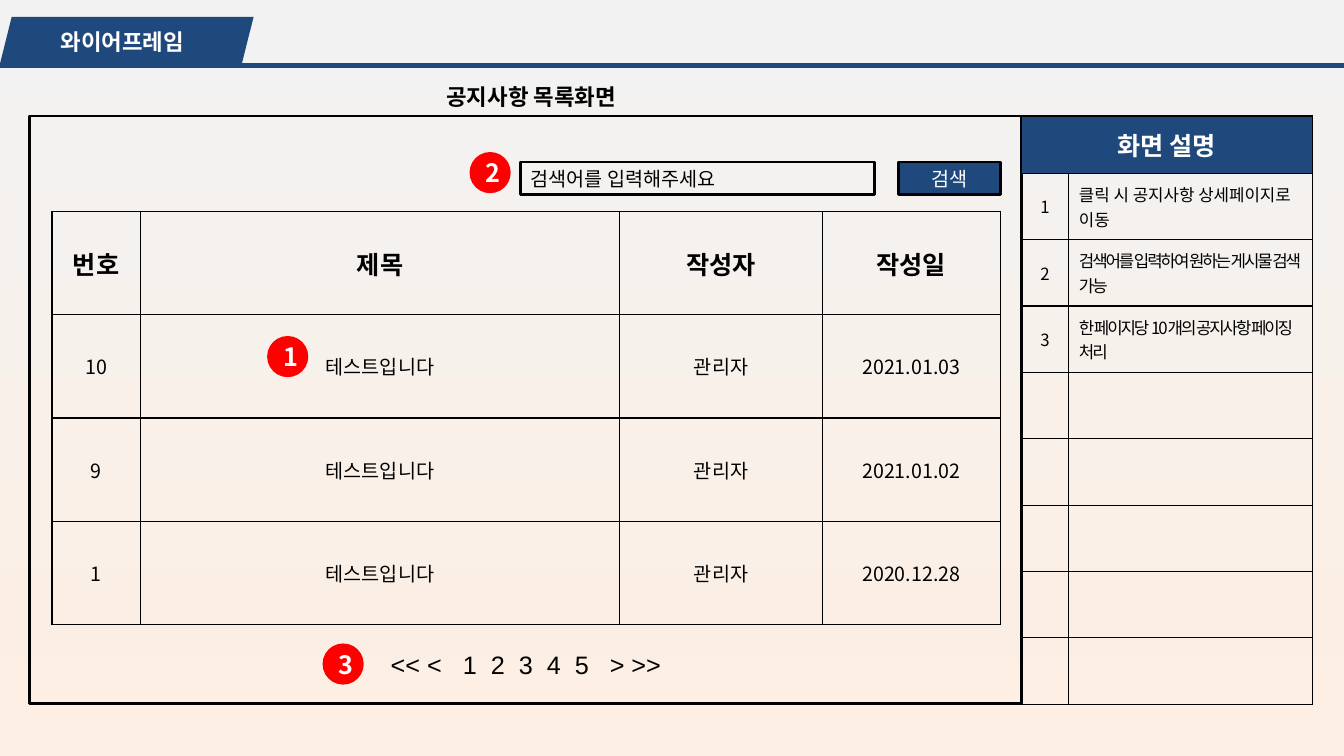
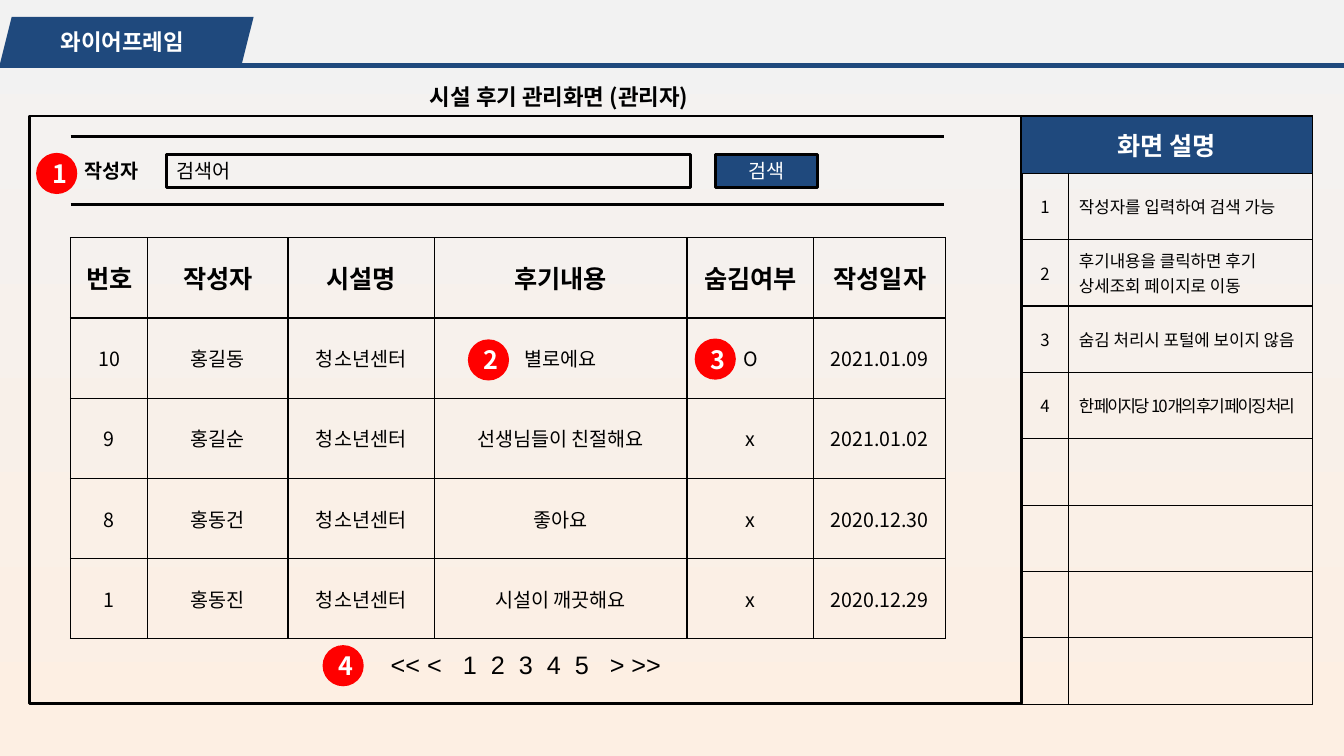
from dataclasses import dataclass
from itertools import accumulate

from lxml import etree
from pptx import Presentation
from pptx.dml.color import RGBColor
from pptx.enum.shapes import MSO_CONNECTOR, MSO_SHAPE
from pptx.enum.text import MSO_ANCHOR, PP_ALIGN
from pptx.oxml.ns import qn
from pptx.util import Emu, Pt

RECTANGLE = MSO_SHAPE.RECTANGLE
OVAL = MSO_SHAPE.OVAL
PARALLELOGRAM = MSO_SHAPE.PARALLELOGRAM
STRAIGHT = MSO_CONNECTOR.STRAIGHT
MIDDLE = MSO_ANCHOR.MIDDLE
LEFT = PP_ALIGN.LEFT
CENTER = PP_ALIGN.CENTER

COLORS = {
    "navy": "1F497D",
    "red": "FF0000",
    "black": "000000",
    "white": "FFFFFF",
    "sky": "F2F2F2",
    "sand": "FDEFE3",
}
KOREAN_FONT = "Noto Sans CJK KR"
LATIN_FONT = "Arial"

COLUMNS, ROWS = 160, 90
CELL = 76200
BADGE_SIZE = 4.9
FIELD_HEIGHT = 3.9
BUTTON_WIDTH = 12.1
NOTE_ROWS = 8
PAGER_BOX = (40.6, 76.6, 44, 4.9)
PAGER_INSET = 5.9
PAGER_TABS = list(accumulate([8.6] + [3.33] * 4 + [4.17]))


@dataclass(frozen=True)
class Badge:
    number: int
    left: float
    top: float


@dataclass(frozen=True)
class Note:
    text: str
    spacing: float = 0


@dataclass(frozen=True)
class Grid:
    left: float
    top: float
    columns: list[float]
    row_height: float
    rows: list[list[str]]


@dataclass(frozen=True)
class Search:
    left: float
    top: float
    width: float
    button_left: float
    prompt: str


@dataclass(frozen=True)
class Screen:
    title: str
    title_width: float
    search: Search
    grid: Grid
    notes: list[Note]
    badges: list[Badge]
    search_label: str = ""
    rules: tuple[float, ...] = ()


def units(value: float) -> Emu:
    return Emu(round(value * CELL))


def color(name: str) -> RGBColor:
    return RGBColor.from_string(COLORS[name])


def write_text(frame, text: str, *, size: float = 14, ink: str = "black",
               bold: bool = False, align=CENTER, font: str = KOREAN_FONT,
               spacing: float = 0, tabs=()) -> None:
    para = frame.paragraphs[0]
    para.alignment = align
    if tabs:
        tab_list = etree.SubElement(para._p.get_or_add_pPr(), qn("a:tabLst"))
        for position in tabs:
            etree.SubElement(tab_list, qn("a:tab"), pos=str(units(position)), algn="l")
    span = para.add_run()
    span.text = text
    span.font.size = Pt(size)
    span.font.bold = bold
    span.font.name = font
    span.font.color.rgb = color(ink)
    properties = span._r.get_or_add_rPr()
    etree.SubElement(properties, qn("a:ea"), typeface=font)
    if spacing:
        properties.set("spc", str(round(spacing * 100)))


def add_text(page, place: tuple, text: str, *, inset: float = 1.2, **style) -> None:
    box = page.shapes.add_textbox(*map(units, place))
    frame = box.text_frame
    frame.word_wrap = True
    frame.vertical_anchor = MIDDLE
    frame.margin_left = units(inset)
    write_text(frame, text, **style)


def add_box(page, preset, place: tuple, *, fill: str = "", line: str = "",
            text: str = "", **style) -> None:
    box = page.shapes.add_shape(preset, *map(units, place))
    box.shadow.inherit = False
    if fill:
        box.fill.solid()
        box.fill.fore_color.rgb = color(fill)
    else:
        box.fill.background()
    if line:
        box.line.color.rgb = color(line)
        box.line.width = Pt(2)
    else:
        box.line.fill.background()
    if text:
        box.text_frame.word_wrap = True
        box.text_frame.vertical_anchor = MIDDLE
        write_text(box.text_frame, text, **style)


def add_rule(page, left: float, right: float, top: float, ink: str, width: float) -> None:
    rule = page.shapes.add_connector(
        STRAIGHT, units(left), units(top), units(right), units(top))
    rule.line.color.rgb = color(ink)
    rule.line.width = Pt(width)
    etree.SubElement(rule._element.spPr, qn("a:effectLst"))


def style_cell(cell, fill: str = "") -> None:
    properties = cell._tc.get_or_add_tcPr()
    for side in ("lnL", "lnR", "lnT", "lnB"):
        border = etree.SubElement(properties, qn(f"a:{side}"), w=str(Pt(1)))
        paint = etree.SubElement(border, qn("a:solidFill"))
        etree.SubElement(paint, qn("a:srgbClr"), val=COLORS["black"])
    cell.vertical_anchor = MIDDLE
    if fill:
        cell.fill.solid()
        cell.fill.fore_color.rgb = color(fill)
    else:
        cell.fill.background()


def add_table(page, left: float, top: float, columns: list[float], rows: list[float]):
    table = page.shapes.add_table(
        len(rows), len(columns), units(left), units(top),
        units(sum(columns)), units(sum(rows))).table
    table.first_row = False
    table.horz_banding = False
    for column, width in zip(table.columns, columns):
        column.width = units(width)
    for row, height in zip(table.rows, rows):
        row.height = units(height)
    return table


def add_grid(page, grid: Grid) -> None:
    table = add_table(page, grid.left, grid.top, grid.columns,
                      [grid.row_height] * len(grid.rows))
    for row, texts in enumerate(grid.rows):
        header = row == 0
        for column, text in enumerate(texts):
            cell = table.cell(row, column)
            style_cell(cell)
            write_text(cell.text_frame, text, size=18 if header else 14, bold=header)


def add_notes(page, notes: list[Note]) -> None:
    table = add_table(page, 121.6, 13.8, [5.65, 29], [6.84] + [7.9] * NOTE_ROWS)
    for row in range(NOTE_ROWS + 1):
        for column in range(2):
            style_cell(table.cell(row, column), "" if row else "navy")
    heading = table.cell(0, 0)
    heading.merge(table.cell(0, 1))
    write_text(heading.text_frame, "화면 설명", size=18, ink="white", bold=True)
    for row, note in enumerate(notes, 1):
        write_text(table.cell(row, 0).text_frame, str(row), size=12)
        write_text(table.cell(row, 1).text_frame, note.text, size=12,
                   align=LEFT, spacing=note.spacing)


def add_search(page, search: Search) -> None:
    add_box(page, RECTANGLE, (search.left, search.top, search.width, FIELD_HEIGHT),
            line="black", text=search.prompt, align=LEFT)
    add_box(page, RECTANGLE, (search.button_left, search.top, BUTTON_WIDTH, FIELD_HEIGHT),
            fill="navy", line="black", text="검색", ink="white")


def add_frame(page, screen: Screen) -> None:
    backdrop = page.background.fill
    backdrop.gradient()
    backdrop.gradient_angle = 270
    for stop, name in zip(backdrop.gradient_stops, ("sky", "sand")):
        stop.color.rgb = color(name)
    add_box(page, PARALLELOGRAM, (0, 2, 30.2, 5.6), fill="navy")
    add_text(page, (-0.2, 1.6, 29.5, 6.6), "와이어프레임", size=16, ink="white", bold=True)
    add_rule(page, 0, COLUMNS, 7.8, "navy", 3)
    add_text(page, (48.5, 8.2, screen.title_width, 6.6), screen.title, size=16, bold=True)
    add_box(page, RECTANGLE, (3.5, 13.8, 118.1, 70), line="black")


def add_screen(deck, screen: Screen) -> None:
    page = deck.slides.add_slide(deck.slide_layouts[6])
    add_frame(page, screen)
    add_notes(page, screen.notes)
    add_grid(page, screen.grid)
    add_search(page, screen.search)
    if screen.search_label:
        add_text(page, (8.9, 17.9, 18.8, 4.9), screen.search_label,
                 bold=True, align=LEFT, font=LATIN_FONT)
    for top in screen.rules:
        add_rule(page, 8.4, 112.4, top, "black", 2.25)
    add_text(page, PAGER_BOX, "\t".join(["<< <", *"12345", "> >>"]), inset=PAGER_INSET,
             size=18, align=LEFT, font=LATIN_FONT, tabs=PAGER_TABS)
    for badge in screen.badges:
        add_box(page, OVAL, (badge.left, badge.top, BADGE_SIZE, BADGE_SIZE), fill="red",
                text=str(badge.number), size=18, ink="white", bold=True)


SCREENS = [
    Screen(
        title="공지사항 목록화면",
        title_width=29.5,
        search=Search(62, 19.3, 42.1, 107, "검색어를 입력해주세요"),
        grid=Grid(6.2, 25.2, [10.5, 57.1, 24.1, 21.2], 12.28, [
            ["번호", "제목", "작성자", "작성일"],
            ["10", "테스트입니다", "관리자", "2021.01.03"],
            ["9", "테스트입니다", "관리자", "2021.01.02"],
            ["1", "테스트입니다", "관리자", "2020.12.28"],
        ]),
        notes=[
            Note("클릭 시 공지사항 상세페이지로 이동"),
            Note("검색어를 입력하여 원하는 게시물 검색 가능", -1.5),
            Note("한 페이지당 10개의 공지사항 페이징 처리", -1.5),
        ],
        badges=[Badge(1, 31.8, 40), Badge(2, 55.9, 18.1), Badge(3, 38.4, 76.6)],
    ),
    Screen(
        title="시설 후기 관리화면 (관리자)",
        title_width=36.1,
        search=Search(19.8, 18.4, 62.4, 85.2, "검색어"),
        grid=Grid(8.4, 28.3, [9.2, 16.7, 17.4, 30.1, 15.1, 15.7], 9.55, [
            ["번호", "작성자", "시설명", "후기내용", "숨김여부", "작성일자"],
            ["10", "홍길동", "청소년센터", "별로에요", "O", "2021.01.09"],
            ["9", "홍길순", "청소년센터", "선생님들이 친절해요", "x", "2021.01.02"],
            ["8", "홍동건", "청소년센터", "좋아요", "x", "2020.12.30"],
            ["1", "홍동진", "청소년센터", "시설이 깨끗해요", "x", "2020.12.29"],
        ]),
        notes=[
            Note("작성자를 입력하여 검색 가능"),
            Note("후기내용을 클릭하면 후기 상세조회 페이지로 이동"),
            Note("숨김 처리시 포털에 보이지 않음"),
            Note("한 페이지당 10개의 후기 페이징 처리", -1.5),
        ],
        badges=[Badge(1, 4.3, 18.2), Badge(2, 55.7, 40.4),
                Badge(3, 82.7, 40.3), Badge(4, 38.4, 76.8)],
        search_label="작성자",
        rules=(16.3, 24.3),
    ),
]


def main() -> None:
    deck = Presentation()
    deck.slide_width = units(COLUMNS)
    deck.slide_height = units(ROWS)
    for screen in SCREENS:
        add_screen(deck, screen)
    deck.save("out.pptx")


if __name__ == "__main__":
    main()
